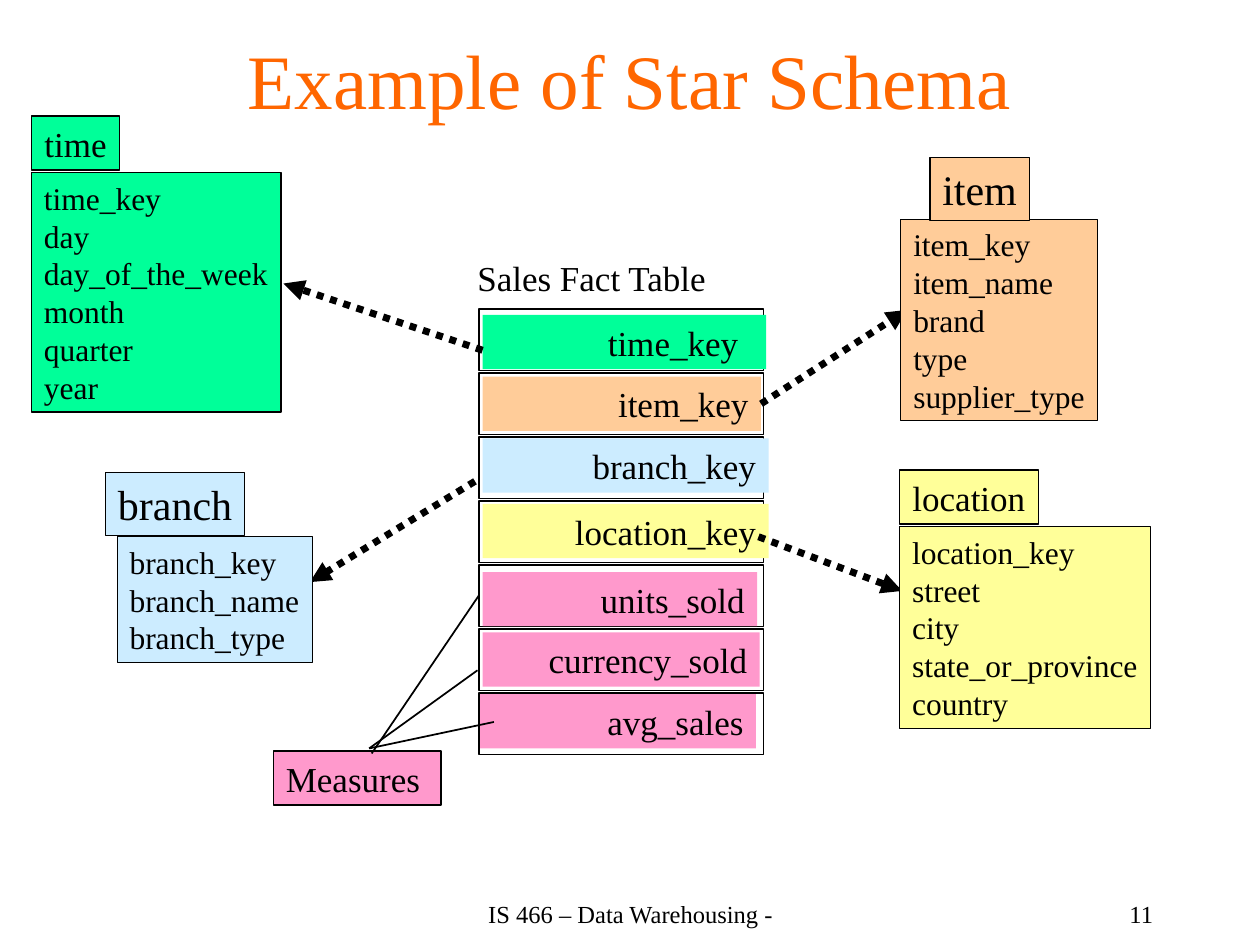
from dataclasses import dataclass

from lxml.etree import SubElement
from pptx import Presentation
from pptx.dml.color import RGBColor
from pptx.enum.dml import MSO_LINE_DASH_STYLE as Dash
from pptx.enum.shapes import MSO_CONNECTOR as Connector, MSO_SHAPE as Shape
from pptx.enum.text import MSO_ANCHOR as Anchor, PP_ALIGN as Align
from pptx.oxml.ns import qn
from pptx.util import Inches, Pt


@dataclass(frozen=True)
class Theme:
    font: str = "Times New Roman"
    ink: str = "000000"
    title: str = "FF6600"
    time: str = "00FF99"
    item: str = "FFCC99"
    branch: str = "CCECFF"
    location: str = "FFFF99"
    measure: str = "FF99CC"
    title_size: int = 44
    heading_size: int = 24
    label_size: int = 20
    list_size: int = 18
    footer_size: int = 14
    box_line: float = 0.75
    thin_line: float = 1
    arrow_line: float = 4


THEME = Theme()
WIDTH, HEIGHT = Inches(10), Inches(7.5)
COLUMNS, ROWS = 10, 7.5
LEFT_SIDE, RIGHT_SIDE = 1, 3

FACT_LEFT, FACT_TOP, FACT_WIDTH = 3.8, 2.45, 2.26
FACT_HEIGHT, FACT_PITCH = 0.49, 0.508
STRIP_HEIGHT = 0.43

# field, colour, strip left, strip top, strip width, right margin
FACT_FIELDS = [
    ("time_key", THEME.time, 3.83, 2.5, 2.25, 0.22),
    ("item_key", THEME.item, 3.83, 2.99, 2.21, 0.1),
    ("branch_key", THEME.branch, 3.83, 3.48, 2.27, 0.1),
    ("location_key", THEME.location, 3.83, 4, 2.27, 0.1),
    ("units_sold", THEME.measure, 3.83, 4.54, 2.18, 0.1),
    ("currency_sold", THEME.measure, 3.83, 5.02, 2.2, 0.1),
    ("avg_sales", THEME.measure, 3.81, 5.51, 2.19, 0.1),
]

# heading, heading size, colour, heading place, list place, fields
DIMENSIONS = [
    ("time", THEME.label_size, THEME.time,
     (0.25, 0.92, 0.7, 0.43), (0.25, 1.37, 1.98, 1.9),
     ["time_key", "day", "day_of_the_week", "month", "quarter", "year"]),
    ("location", THEME.label_size, THEME.location,
     (7.14, 3.73, 1.1, 0.43), (7.14, 4.18, 1.99, 1.6),
     ["location_key", "street", "city", "state_or_province", "country"]),
    ("item", THEME.heading_size, THEME.item,
     (7.38, 1.25, 0.79, 0.5), (7.15, 1.74, 1.56, 1.6),
     ["item_key", "item_name", "brand", "type", "supplier_type"]),
    ("branch", THEME.heading_size, THEME.branch,
     (0.84, 3.75, 1.1, 0.5), (0.93, 4.26, 1.55, 1),
     ["branch_key", "branch_name", "branch_type"]),
]


def column(count):
    return round(WIDTH * count / COLUMNS)


def row(count):
    return round(HEIGHT * count / ROWS)


def grid(place):
    left, top, width, height = place
    return column(left), row(top), column(width), row(height)


def apply(target, values):
    for name, value in values.items():
        setattr(target, name, value)


def write(shape, lines, size, color=THEME.ink, align=Align.LEFT,
          anchor=Anchor.TOP, wrap=False, right=0.1):
    frame = shape.text_frame
    apply(frame, {
        "text": "\n".join(lines), "word_wrap": wrap, "vertical_anchor": anchor,
        "margin_left": column(0.1), "margin_right": column(right),
        "margin_top": row(0.05), "margin_bottom": row(0.05),
    })
    for paragraph in frame.paragraphs:
        paragraph.alignment = align
        apply(paragraph.font, {"name": THEME.font, "size": Pt(size)})
        paragraph.font.color.rgb = RGBColor.from_string(color)


def style_line(line, width):
    line.color.rgb = RGBColor.from_string(THEME.ink)
    line.width = Pt(width)


def add_box(slide, place, fill=None, line=None):
    shape = slide.shapes.add_shape(Shape.RECTANGLE, *grid(place))
    shape.shadow.inherit = False
    if fill:
        shape.fill.solid()
        shape.fill.fore_color.rgb = RGBColor.from_string(fill)
    else:
        shape.fill.background()
    if line:
        style_line(shape.line, line)
    else:
        shape.line.fill.background()
    return shape


def add_label(slide, place, text, size, **layout):
    write(slide.shapes.add_textbox(*grid(place)), [text], size, **layout)


def add_line(slide, start, end, width=THEME.thin_line):
    connector = slide.shapes.add_connector(
        Connector.STRAIGHT, column(start[0]), row(start[1]),
        column(end[0]), row(end[1]))
    style_line(connector.line, width)
    SubElement(connector._element.spPr, qn("a:effectLst"))
    return connector


def add_dotted_arrow(slide, start, end):
    connector = add_line(slide, start, end, THEME.arrow_line)
    connector.line.dash_style = Dash.ROUND_DOT
    SubElement(connector.line._get_or_add_ln(), qn("a:tailEnd"), type="triangle")
    return connector


def add_title(slide, text):
    title = slide.shapes.title
    apply(title, dict(zip(("left", "top", "width", "height"),
                          grid((0.75, 0, 8.5, 1.25)))))
    write(title, [text], THEME.title_size, THEME.title,
          Align.CENTER, Anchor.MIDDLE, True)


def add_fact_table(slide):
    """Return the row frames and the coloured strips, each keyed by field."""
    frames, strips = {}, {}
    for index, (field, color, left, top, width, right) in enumerate(FACT_FIELDS):
        frames[field] = add_box(
            slide, (FACT_LEFT, FACT_TOP + index * FACT_PITCH, FACT_WIDTH, FACT_HEIGHT),
            line=THEME.thin_line)
        strips[field] = add_box(slide, (left, top, width, STRIP_HEIGHT), color)
        write(strips[field], [field], THEME.label_size,
              align=Align.RIGHT, wrap=True, right=right)
    return frames, strips


def add_dimension(slide, heading, size, color, heading_place, list_place, fields):
    write(add_box(slide, list_place, color, THEME.box_line),
          fields, THEME.list_size)
    write(add_box(slide, heading_place, color, THEME.box_line),
          [heading], size, align=Align.CENTER, anchor=Anchor.MIDDLE)


def main():
    presentation = Presentation()
    apply(presentation, {"slide_width": WIDTH, "slide_height": HEIGHT})
    slide = presentation.slides.add_slide(presentation.slide_layouts[5])

    add_title(slide, "Example of Star Schema")
    add_label(slide, (3.69, 1.99, 2.04, 0.43), "Sales Fact Table", THEME.label_size)
    frames, strips = add_fact_table(slide)

    measures = add_box(slide, (2.17, 5.96, 1.33, 0.43), THEME.measure, THEME.box_line)
    write(measures, ["Measures"], THEME.label_size, wrap=True)
    units_line = add_line(slide, (2.95, 5.98), (3.79, 4.73))
    units_line.end_connect(frames["units_sold"], LEFT_SIDE)
    for end in ((3.79, 5.32), (3.92, 5.73)):
        add_line(slide, (2.93, 5.94), end)

    for start, end in (((3.77, 3.82), (2.46, 4.62)),
                       ((3.83, 2.78), (2.25, 2.25)),
                       ((6.02, 4.26), (7.16, 4.69))):
        add_dotted_arrow(slide, start, end)
    item_arrow = add_dotted_arrow(slide, (6.02, 3.2), (7.2, 2.46))
    item_arrow.begin_connect(strips["item_key"], RIGHT_SIDE)

    for dimension in DIMENSIONS:
        add_dimension(slide, *dimension)

    add_label(slide, (3.42, 7, 3.17, 0.5), "IS 466 – Data Warehousing -",
              THEME.footer_size, align=Align.CENTER, anchor=Anchor.MIDDLE, wrap=True)
    add_label(slide, (7.17, 7, 2.08, 0.5), "11",
              THEME.footer_size, align=Align.RIGHT, anchor=Anchor.MIDDLE, wrap=True)
    presentation.save("out.pptx")


if __name__ == "__main__":
    main()
